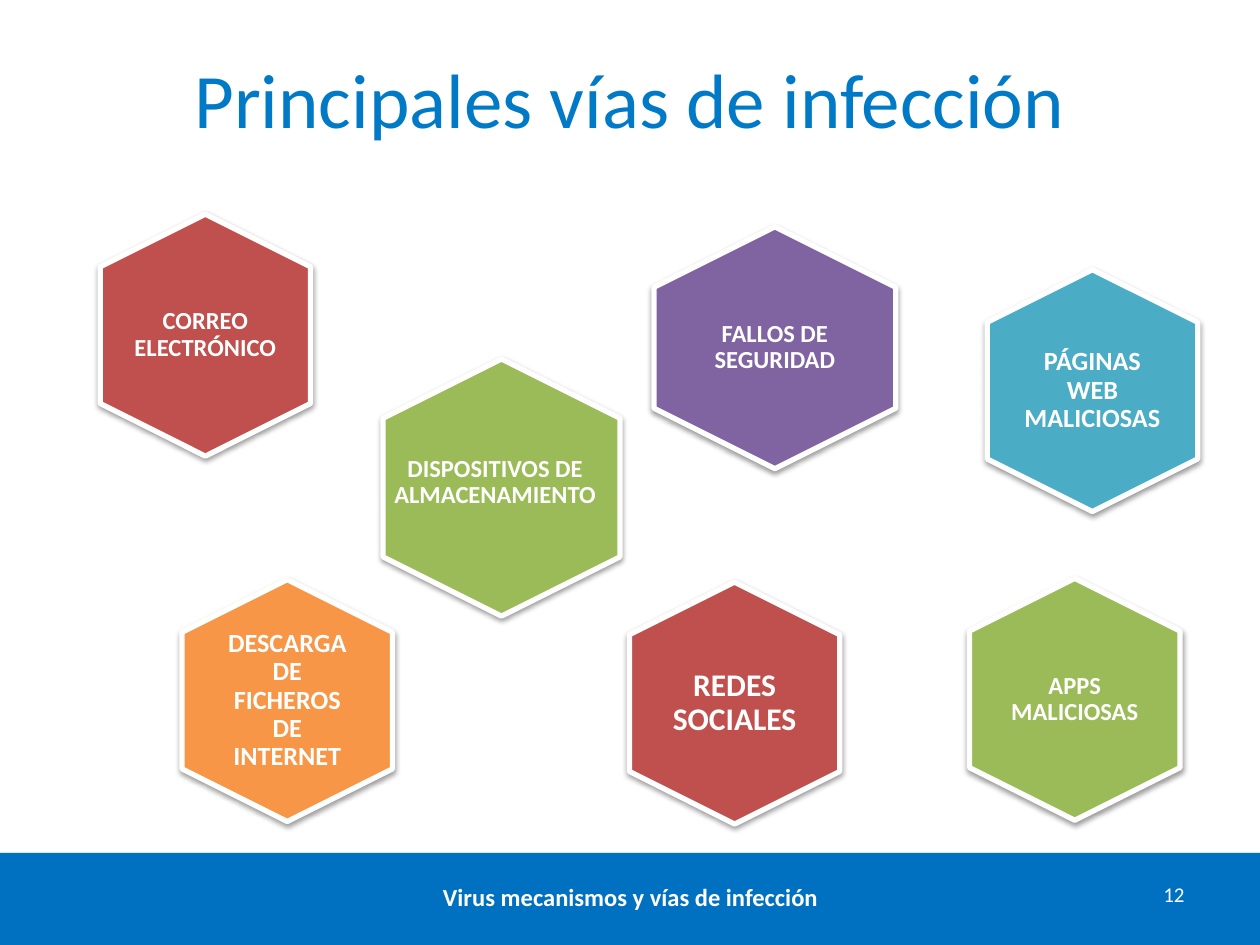
"""Build the slide on the main infection routes."""
import pptx
import pptx.util
from lxml import etree
from pptx.dml.color import RGBColor
from pptx.enum.shapes import MSO_SHAPE
from pptx.enum.text import MSO_ANCHOR, PP_ALIGN
from pptx.oxml.ns import qn
from pptx.util import Inches, Pt

WHITE = RGBColor(0xFF, 0xFF, 0xFF)
BLACK = RGBColor(0x00, 0x00, 0x00)
TITLE_BLUE = RGBColor(0x00, 0x7A, 0xC6)
FOOTER_BLUE = RGBColor(0x00, 0x70, 0xC0)
RED = RGBColor(0xC0, 0x50, 0x4D)
GREEN = RGBColor(0x9B, 0xBB, 0x59)
PURPLE = RGBColor(0x80, 0x64, 0xA2)
TEAL = RGBColor(0x4B, 0xAC, 0xC6)
ORANGE = RGBColor(0xF7, 0x96, 0x46)

FONT = "Calibri"
TITLE = "Principales vías de infección"
FOOTER = "Virus mecanismos y vías de infección"
SLIDE_NUMBER = "12"

REGULAR = (1.92, 1.67)
LABEL = (1.15, 1.32)
NO_SHIFT = (0, 0)

# label, fill, centre, hexagon size, label size, label shift, inset, font size
ROUTES = [
    ("DISPOSITIVOS DE ALMACENAMIENTO", GREEN, (3.98, 3.87), (2.04, 1.88), (1.64, 1.47), (-0.05, -0.04), 0, 14),
    ("CORREO ELECTRÓNICO", RED, (1.63, 2.66), REGULAR, (1.34, 1.32), NO_SHIFT, 0.05, 14),
    ("FALLOS DE SEGURIDAD", PURPLE, (6.15, 2.76), (1.92, 1.92), (1.28, 1.28), NO_SHIFT, 0.06, 14),
    ("PÁGINAS WEB MALICIOSAS", TEAL, (8.67, 3.1), REGULAR, LABEL, NO_SHIFT, 0, 15),
    ("REDES SOCIALES", RED, (5.83, 5.58), REGULAR, LABEL, NO_SHIFT, 0, 18),
    ("DESCARGA DE FICHEROS DE INTERNET", ORANGE, (2.28, 5.56), REGULAR, LABEL, NO_SHIFT, 0.06, 15),
    ("APPS MALICIOSAS", GREEN, (8.53, 5.55), REGULAR, LABEL, NO_SHIFT, 0, 14),
]


def centred_box(centre, size):
    return (centre[0] - size[0] / 2, centre[1] - size[1] / 2, *size)


def add_shadow(shape, distance, opacity):
    shape.shadow.inherit = False
    effects = shape._element.spPr.find(qn("a:effectLst"))
    shadow = etree.SubElement(
        effects, qn("a:outerShdw"), blurRad=str(Pt(3.1)), dist=str(Pt(distance)),
        dir="5400000", rotWithShape="0")
    color = etree.SubElement(shadow, qn("a:srgbClr"), val=str(BLACK))
    etree.SubElement(color, qn("a:alpha"), val=str(opacity * 1000))


def add_filled_shape(shapes, kind, box, fill):
    shape = shapes.add_shape(kind, *map(Inches, box))
    shape.fill.solid()
    shape.fill.fore_color.rgb = fill
    return shape


def add_text(shapes, text, box, size, color=WHITE, bold=False,
             align=PP_ALIGN.CENTER, anchor=MSO_ANCHOR.TOP):
    frame = shapes.add_textbox(*map(Inches, box)).text_frame
    frame.word_wrap = True
    frame.vertical_anchor = anchor
    paragraph = frame.paragraphs[0]
    paragraph.text = text
    paragraph.alignment = align
    paragraph.font.name = FONT
    paragraph.font.size = Pt(size)
    paragraph.font.bold = bold
    paragraph.font.color.rgb = color
    return frame


def add_route(slide, label, fill, centre, size, label_size, shift, inset, font_size):
    shapes = slide.shapes.add_group_shape().shapes
    hexagon = add_filled_shape(shapes, MSO_SHAPE.HEXAGON, centred_box(centre, size), fill)
    hexagon.rotation = 90
    hexagon.adjustments[0] = 0.25
    hexagon.adjustments[1] = 1.1547
    hexagon.line.color.rgb = WHITE
    hexagon.line.width = Pt(3)
    add_shadow(hexagon, 1.6, 38)

    label_centre = (centre[0] + shift[0], centre[1] + shift[1])
    frame = add_text(shapes, label, centred_box(label_centre, label_size), font_size,
                     bold=True, anchor=MSO_ANCHOR.MIDDLE)
    frame.margin_left = frame.margin_right = Inches(inset)
    frame.margin_top = frame.margin_bottom = Inches(inset)
    frame.paragraphs[0].line_spacing = 0.9


def main():
    presentation = pptx.Presentation()
    presentation.slide_width = Inches(10)
    presentation.slide_height = Inches(7.5)
    slide = presentation.slides.add_slide(presentation.slide_layouts[6])

    band = add_filled_shape(slide.shapes, MSO_SHAPE.RECTANGLE, (0, 6.77, 10, 0.76), FOOTER_BLUE)
    band.line.fill.background()
    add_shadow(band, 1.8, 35)

    add_text(slide.shapes, TITLE, (0.5, 0.15, 9, 1.25), 44, TITLE_BLUE, anchor=MSO_ANCHOR.MIDDLE)
    add_text(slide.shapes, SLIDE_NUMBER, (8.94, 6.95, 0.56, 0.4), 12, align=PP_ALIGN.RIGHT)
    add_text(slide.shapes, FOOTER, (1.54, 6.95, 6.93, 0.4), 14, bold=True)

    for route in ROUTES:
        add_route(slide, *route)

    presentation.save("out.pptx")


if __name__ == "__main__":
    main()
